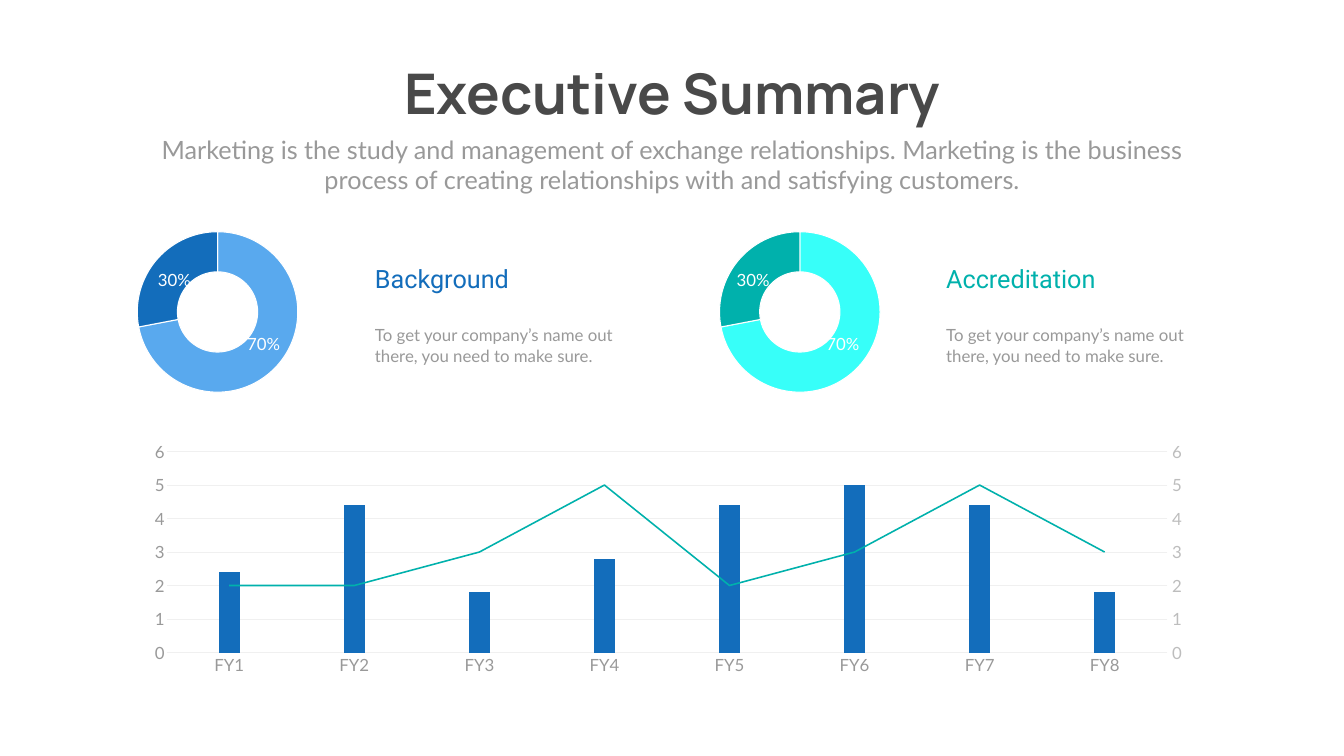
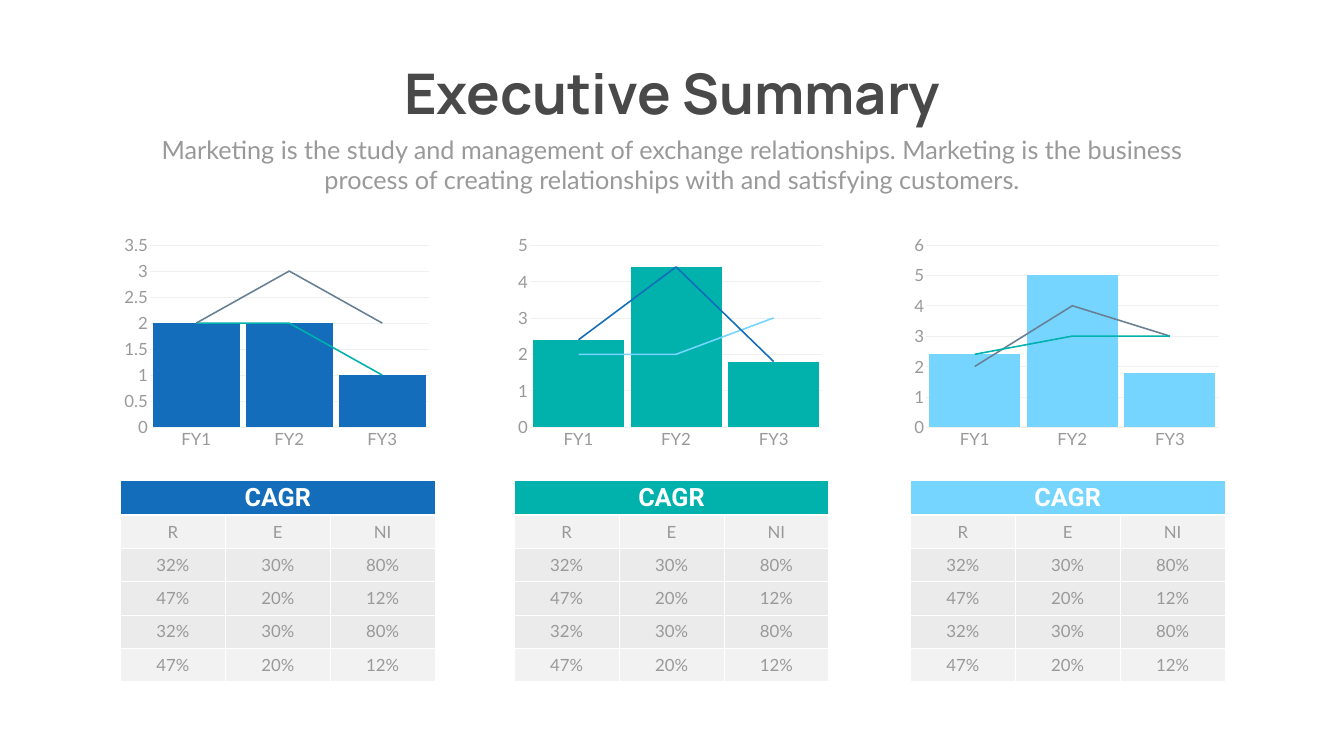
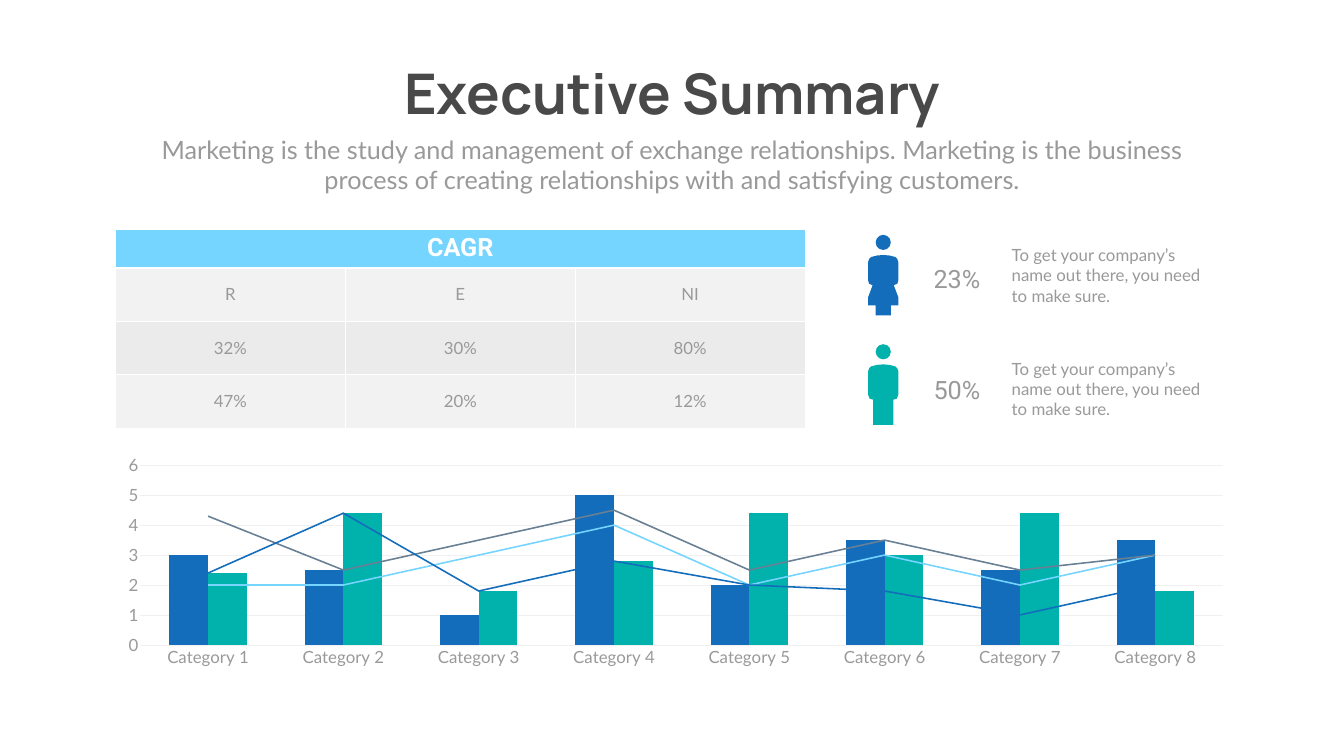
"""Build three executive summary slides with charts, tables and icons."""
from copy import deepcopy
from dataclasses import dataclass
from typing import NamedTuple

from lxml import etree
from pptx import Presentation
from pptx.chart.axis import CategoryAxis, ValueAxis
from pptx.chart.chart import Chart
from pptx.chart.data import CategoryChartData
from pptx.dml.color import RGBColor
from pptx.enum.chart import XL_CHART_TYPE, XL_MARKER_STYLE, XL_TICK_MARK
from pptx.enum.shapes import MSO_SHAPE
from pptx.enum.text import MSO_ANCHOR, MSO_AUTO_SIZE, PP_ALIGN
from pptx.oxml import parse_xml
from pptx.oxml.ns import nsdecls, qn
from pptx.util import Inches, Pt

COLUMNS = XL_CHART_TYPE.COLUMN_CLUSTERED
DOUGHNUT = XL_CHART_TYPE.DOUGHNUT
NO_MARKER = XL_MARKER_STYLE.NONE
TICK_NONE, TICK_OUT = XL_TICK_MARK.NONE, XL_TICK_MARK.OUTSIDE
OVAL = MSO_SHAPE.OVAL
MIDDLE = MSO_ANCHOR.MIDDLE
FIT_SHAPE = MSO_AUTO_SIZE.SHAPE_TO_FIT_TEXT
LEFT, CENTER = PP_ALIGN.LEFT, PP_ALIGN.CENTER

BLUE, TEAL, SKY, SLATE = "136DBB", "00B1AC", "75D5FF", "698094"
LIGHT_BLUE, AQUA = "59A9EE", "37FFF9"
INK, GRAY, PALE_GRAY, GRID = "494949", "999999", "BDBDBD", "F0F0F0"
WHITE, CELL_LIGHT, CELL_DARK = "FFFFFF", "F2F2F2", "D9D9D9"

TITLE = "Executive Summary"
SUBTITLE = (
    "Marketing is the study and management of exchange relationships. "
    "Marketing is the business process of creating relationships with and satisfying customers."
)
BLURB = "To get your company’s name out there, you need to make sure."
LABELS = ["R", "E", "NI"]
FIRST_RATES = ["32%", "30%", "80%"]
SECOND_RATES = ["47%", "20%", "12%"]

SHOULDER = [(0, 0), (0.12, 0.01), (0.24, 0.04), (0.28, 0.08), (0.3, 0.14)]
WOMAN = SHOULDER + [(0.3, 0.5), (0.28, 0.57), (0.21, 0.6), (0.3, 0.84),
                    (0.3, 1), (0.15, 1), (0.15, 1.2)]
MAN = SHOULDER + [(0.3, 0.6), (0.27, 0.68), (0.2, 0.7), (0.2, 1.2)]


class Area(NamedTuple):
    """A place on the slide in inches."""
    left: float
    top: float
    width: float
    height: float

    def lengths(self) -> list:
        """Return the four values as slide lengths."""
        return [Inches(value) for value in self]


@dataclass(frozen=True)
class Style:
    """The look of one text."""
    size: float
    font: str = "Lato"
    color: str = GRAY
    bold: bool = False
    align: PP_ALIGN = LEFT
    wrap: bool = True


@dataclass(frozen=True)
class Series:
    """One chart series."""
    values: list
    color: str


@dataclass(frozen=True)
class Combo:
    """Columns with lines over them."""
    area: Area
    categories: list
    bars: list
    lines: list
    gap: int
    font_size: float = 10


@dataclass(frozen=True)
class Topic:
    """A doughnut with its heading and blurb."""
    heading: str
    color: str
    rest_color: str
    ring_left: float
    text_left: float
    small_left: float
    large_left: float


@dataclass(frozen=True)
class Panel:
    """A small chart above its table."""
    left: float
    bar: Series
    lines: list


@dataclass(frozen=True)
class Person:
    """An icon with its share and blurb."""
    outline: list
    color: str
    share: str
    icon_top: float
    share_top: float
    blurb_top: float


TITLE_STYLE = Style(80, "Manrope", INK, True, CENTER, False)
SUBTITLE_STYLE = Style(36, align=CENTER)
BODY = Style(24)
CELL = Style(24, align=CENTER)
HEADER = Style(36, "Roboto", WHITE, True, CENTER)
RING_LABEL = Style(24, color=WHITE, align=CENTER, wrap=False)

TOPICS = [
    Topic("Background", BLUE, LIGHT_BLUE, 1.72, 7.34, 3.03, 4.8),
    Topic("Accreditation", TEAL, AQUA, 13.27, 18.67, 14.51, 16.29),
]
YEARS = Combo(
    Area(2.65, 8.66, 21.22, 4.83), [f"FY{year}" for year in range(1, 9)],
    [Series([2.4, 4.4, 1.8, 2.8, 4.4, 5, 4.4, 1.8], BLUE)],
    [Series([2, 2, 3, 5, 2, 3, 5, 3], TEAL)], 500,
)
PANELS = [
    Panel(2.39, Series([2, 2, 1], BLUE), [Series([2, 2, 1], TEAL), Series([2, 3, 2], SLATE)]),
    Panel(10.2, Series([2.4, 4.4, 1.8], TEAL),
          [Series([2, 2, 3], SKY), Series([2.4, 4.4, 1.8], BLUE)]),
    Panel(18.06, Series([2.4, 5, 1.8], SKY),
          [Series([2, 4, 3], SLATE), Series([2.4, 3, 3], TEAL)]),
]
CATEGORIES = Combo(
    Area(2.1, 8.94, 22.61, 4.39), [f"Category {number}" for number in range(1, 9)],
    [Series([3, 2.5, 1, 5, 2, 3.5, 2.5, 3.5], BLUE),
     Series([2.4, 4.4, 1.8, 2.8, 4.4, 3, 4.4, 1.8], TEAL)],
    [Series([2, 2, 3, 4, 2, 3, 2, 3], SKY),
     Series([4.3, 2.5, 3.5, 4.5, 2.5, 3.5, 2.5, 3], SLATE),
     Series([2.4, 4.4, 1.8, 2.8, 2, 1.8, 1, 2], BLUE)], 150, 24,
)
PEOPLE = [
    Person(WOMAN, BLUE, "23%", 4.66, 5.17, 4.81),
    Person(MAN, TEAL, "50%", 6.83, 7.37, 7.07),
]


def rgb(color: str) -> RGBColor:
    """Turn a hex string into a colour."""
    return RGBColor.from_string(color)


def set_font(font, size: float, name: str, color: str, bold: bool = False) -> None:
    """Apply size, typeface, colour and weight to a font."""
    font.size, font.name, font.bold = Pt(size), name, bold
    font.color.rgb = rgb(color)


def set_line(line, color: str, width: float) -> None:
    """Give a line a colour and a width."""
    line.color.rgb = rgb(color)
    line.width = Pt(width)


def write(frame, text: str, style: Style) -> None:
    """Put styled text in a text frame."""
    frame.text = text
    for para in frame.paragraphs:
        para.alignment = style.align
        for span in para.runs:
            set_font(span.font, style.size, style.font, style.color, style.bold)


def add_text(shapes, area: Area, text: str, style: Style) -> None:
    """Add a text box."""
    frame = shapes.add_textbox(*area.lengths()).text_frame
    write(frame, text, style)
    frame.word_wrap = style.wrap
    frame.auto_size = FIT_SHAPE


def add_page(deck):
    """Add a page with the shared title and subtitle."""
    page = deck.slides.add_slide(deck.slide_layouts[6])
    heading = page.shapes.add_group_shape()
    add_text(heading.shapes, Area(7.44, 1.12, 11.79, 1.45), TITLE, TITLE_STYLE)
    add_text(heading.shapes, Area(2.92, 2.61, 20.82, 1.31), SUBTITLE, SUBTITLE_STYLE)
    return page


def add_chart(page, kind, area: Area, categories: list, all_values: list, size: float) -> Chart:
    """Add a plain chart without title or legend."""
    data = CategoryChartData()
    data.categories = categories
    for number, values in enumerate(all_values, 1):
        data.add_series(f"Series {number}", values)
    chart = page.shapes.add_chart(kind, *area.lengths(), data).chart
    chart.has_title = chart.has_legend = False
    set_font(chart.font, size, "Calibri", GRAY)
    return chart


def style_axes(chart: Chart) -> None:
    """Style both axes of a chart."""
    for axis in (chart.category_axis, chart.value_axis):
        axis.major_tick_mark = axis.minor_tick_mark = TICK_NONE
        set_font(axis.tick_labels.font, 24, "Lato", GRAY)
    set_line(chart.category_axis.format.line, GRID, 0.75)
    chart.value_axis.format.line.fill.background()
    chart.value_axis.has_major_gridlines = True
    set_line(chart.value_axis.major_gridlines.format.line, GRID, 0.75)


def move_to_lines(chart: Chart, bar_count: int) -> None:
    """Move the series after the bars into a line plot on the same axes."""
    bar_plot = chart.plots[0]._element
    line_plot = parse_xml(
        f'<c:lineChart {nsdecls("c")}><c:grouping val="standard"/><c:varyColors val="0"/>'
        '<c:marker val="1"/></c:lineChart>')
    marker = line_plot.find(qn("c:marker"))
    for series in bar_plot.findall(qn("c:ser"))[bar_count:]:
        for flag in series.findall(qn("c:invertIfNegative")):
            series.remove(flag)
        marker.addprevious(series)
    for axis_id in bar_plot.findall(qn("c:axId")):
        line_plot.append(deepcopy(axis_id))
    bar_plot.addnext(line_plot)


def add_combo(page, combo: Combo) -> Chart:
    """Add a chart with columns and lines."""
    all_values = [series.values for series in combo.bars + combo.lines]
    chart = add_chart(page, COLUMNS, combo.area, combo.categories, all_values, combo.font_size)
    style_axes(chart)
    move_to_lines(chart, len(combo.bars))
    bar_plot, line_plot = chart.plots
    bar_plot.gap_width = combo.gap
    bar_plot.vary_by_categories = False
    for series, bar in zip(bar_plot.series, combo.bars):
        series.format.fill.solid()
        series.format.fill.fore_color.rgb = rgb(bar.color)
    for series, line in zip(line_plot.series, combo.lines):
        set_line(series.format.line, line.color, 2.25)
        series.marker.style = NO_MARKER
        series.smooth = False
    return chart


def add_right_axis(chart: Chart) -> None:
    """Give the lines a pale value axis of their own on the right."""
    bar_axes = [chart.category_axis._element, chart.value_axis._element]
    line_axes = [deepcopy(axis) for axis in bar_axes]
    new_ids = {axis.find(qn("c:axId")).get("val"): str(number)
               for number, axis in enumerate(bar_axes, 1001)}
    line_ids = chart.plots[1]._element.findall(qn("c:axId"))
    axis_ids = [axis.find(qn(tag)) for axis in line_axes for tag in ("c:axId", "c:crossAx")]
    for axis_id in line_ids + axis_ids:
        axis_id.set("val", new_ids[axis_id.get("val")])

    hidden, right = line_axes
    bar_axes[1].addnext(right)
    right.addnext(hidden)
    CategoryAxis(hidden).visible = False
    right.find(qn("c:axPos")).set("val", "r")
    right.find(qn("c:crosses")).set("val", "max")
    right_axis = ValueAxis(right)
    right_axis.has_major_gridlines = False
    right_axis.major_tick_mark = TICK_OUT
    right_axis.tick_labels.font.color.rgb = rgb(PALE_GRAY)


def add_ring(page, topic: Topic) -> None:
    """Add a two-part doughnut."""
    area = Area(topic.ring_left, 4.46, 5.19, 3.46)
    chart = add_chart(page, DOUGHNUT, area, ["1", "2"], [[72, 28]], 10)
    plot = chart.plots[0]
    plot.vary_by_categories = False
    plot._element.find(qn("c:holeSize")).set("val", "40")
    for index, color in enumerate([topic.rest_color, topic.color]):
        part = plot.series[0].points[index].format
        part.fill.solid()
        part.fill.fore_color.rgb = rgb(color)
        set_line(part.line, WHITE, 1.5)


def add_borders(cell, bottom: float) -> None:
    """Draw white borders round a cell."""
    properties = cell._tc.get_or_add_tcPr()
    widths = {"lnL": 1, "lnR": 1, "lnT": 1, "lnB": bottom}
    for position, (tag, width) in enumerate(widths.items()):
        properties.insert(position, parse_xml(
            f'<a:{tag} {nsdecls("a")} w="{Pt(width)}"><a:solidFill>'
            f'<a:srgbClr val="{WHITE}"/></a:solidFill></a:{tag}>'))


def fill_cell(cell, text: str, style: Style, color: str, bottom: float = 1) -> None:
    """Fill a cell with text, colour and borders."""
    write(cell.text_frame, text, style)
    cell.vertical_anchor = MIDDLE
    cell.fill.solid()
    cell.fill.fore_color.rgb = rgb(color)
    if color == CELL_DARK:
        tone = cell._tc.tcPr.find(".//" + qn("a:srgbClr"))
        etree.SubElement(tone, qn("a:alpha")).set("val", "50000")
    add_borders(cell, bottom)


def add_rates(page, area: Area, color: str, rows: list, header_height: float,
              row_height: float) -> None:
    """Add a growth table whose first and last body rows are lighter."""
    table = page.shapes.add_table(len(rows) + 1, len(LABELS), *area.lengths()).table
    table.first_row = table.horz_banding = False
    for column in table.columns:
        column.width = Inches(area.width / len(LABELS))
    for index, row in enumerate(table.rows):
        row.height = Inches(row_height if index else header_height)
    for column in range(len(LABELS)):
        fill_cell(table.cell(0, column), "" if column else "CAGR", HEADER, color, 3)
    table.cell(0, 0).merge(table.cell(0, len(LABELS) - 1))
    for index, texts in enumerate(rows, 1):
        tone = CELL_LIGHT if index in (1, len(rows)) else CELL_DARK
        for column, text in enumerate(texts):
            fill_cell(table.cell(index, column), text, CELL, tone)


def paint(shape, color: str) -> None:
    """Give a shape a flat fill without line or shadow."""
    shape.shadow.inherit = False
    shape.fill.solid()
    shape.fill.fore_color.rgb = rgb(color)
    shape.line.fill.background()


def add_icon(page, person: Person) -> None:
    """Draw a figure by mirroring half of its body outline."""
    center, body_top = 17.52, person.icon_top + 0.4
    icon = page.shapes.add_group_shape()
    head = Area(center - 0.15, person.icon_top, 0.3, 0.3)
    paint(icon.shapes.add_shape(OVAL, *head.lengths()), person.color)
    mirrored = [(-x, y) for x, y in reversed(person.outline[1:])]
    points = [(Inches(center + x), Inches(body_top + y)) for x, y in person.outline + mirrored]
    builder = icon.shapes.build_freeform(*points[0])
    builder.add_line_segments(points[1:], close=True)
    paint(builder.convert_to_shape(), person.color)


def add_topics_page(deck) -> None:
    """Build the page with doughnuts and the yearly chart."""
    page = add_page(deck)
    yearly_chart = add_combo(page, YEARS)
    yearly_chart.plots[0].overlap = -100
    add_right_axis(yearly_chart)
    for topic in TOPICS:
        add_ring(page, topic)
        add_text(page.shapes, Area(topic.text_left, 6.4, 4.97, 0.91), BLURB, BODY)
        add_text(page.shapes, Area(topic.text_left, 5.18, 3.26, 0.71), topic.heading,
                 Style(36, "Roboto", topic.color))
        add_text(page.shapes, Area(topic.small_left, 5.31, 0.86, 0.5), "30%", RING_LABEL)
        add_text(page.shapes, Area(topic.large_left, 6.57, 0.86, 0.5), "70%", RING_LABEL)


def add_panels_page(deck) -> None:
    """Build the page with three charts and tables."""
    page = add_page(deck)
    rows = [LABELS] + [FIRST_RATES, SECOND_RATES] * 2
    for panel in PANELS:
        add_rates(page, Area(panel.left, 9.52, 6.24, 3.98), panel.bar.color, rows, 0.58, 0.66)
        add_combo(page, Combo(Area(panel.left - 0.05, 4.57, 6.29, 4.44),
                              ["FY1", "FY2", "FY3"], [panel.bar], panel.lines, 7))


def add_people_page(deck) -> None:
    """Build the page with the wide table, people and category chart."""
    page = add_page(deck)
    add_combo(page, CATEGORIES)
    for person in PEOPLE:
        add_icon(page, person)
        add_text(page.shapes, Area(18.42, person.share_top, 1.25, 0.71), person.share,
                 Style(36, "Roboto"))
        add_text(page.shapes, Area(19.97, person.blurb_top, 4.27, 1.31), BLURB, BODY)
    rows = [LABELS, FIRST_RATES, SECOND_RATES]
    add_rates(page, Area(2.29, 4.54, 13.68, 3.96), SKY, rows, 0.77, 1.06)


def main() -> None:
    """Build and save the deck."""
    deck = Presentation()
    deck.slide_width, deck.slide_height = Inches(26.66), Inches(15)
    add_topics_page(deck)
    add_panels_page(deck)
    add_people_page(deck)
    deck.save("out.pptx")


if __name__ == "__main__":
    main()
